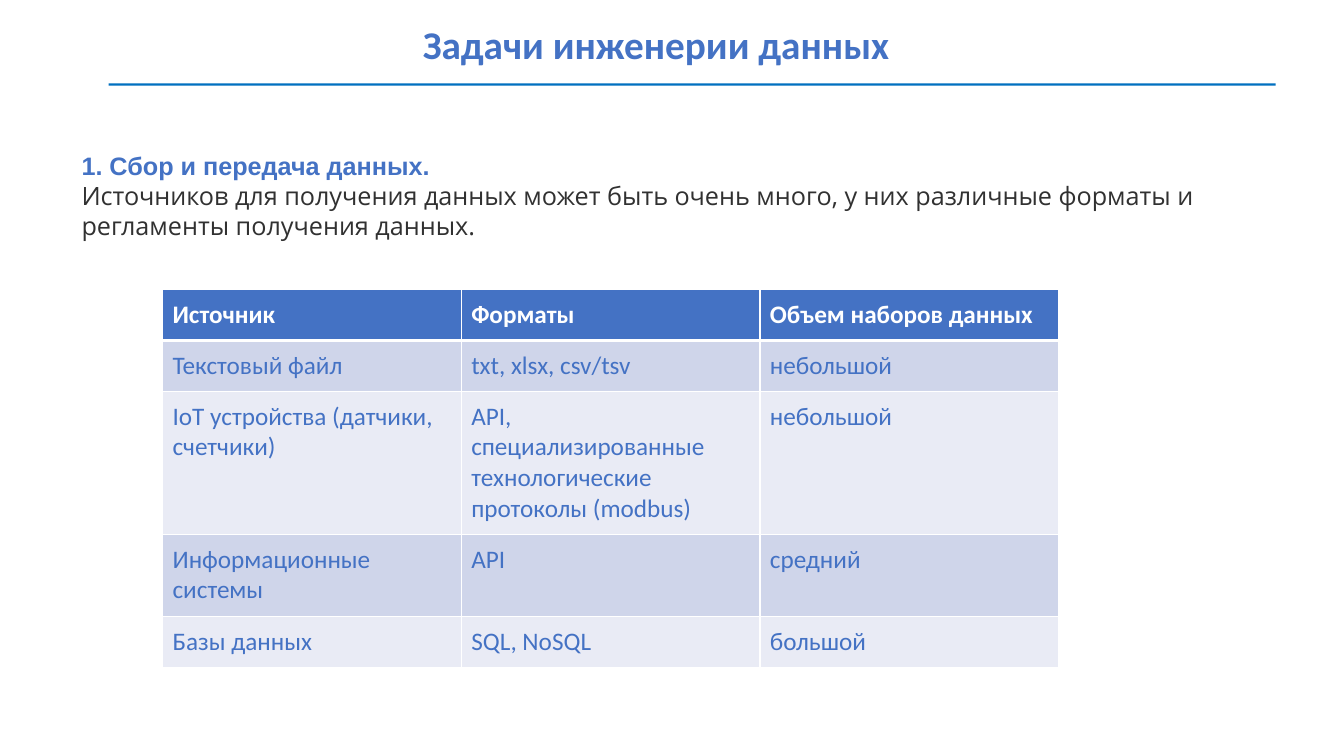
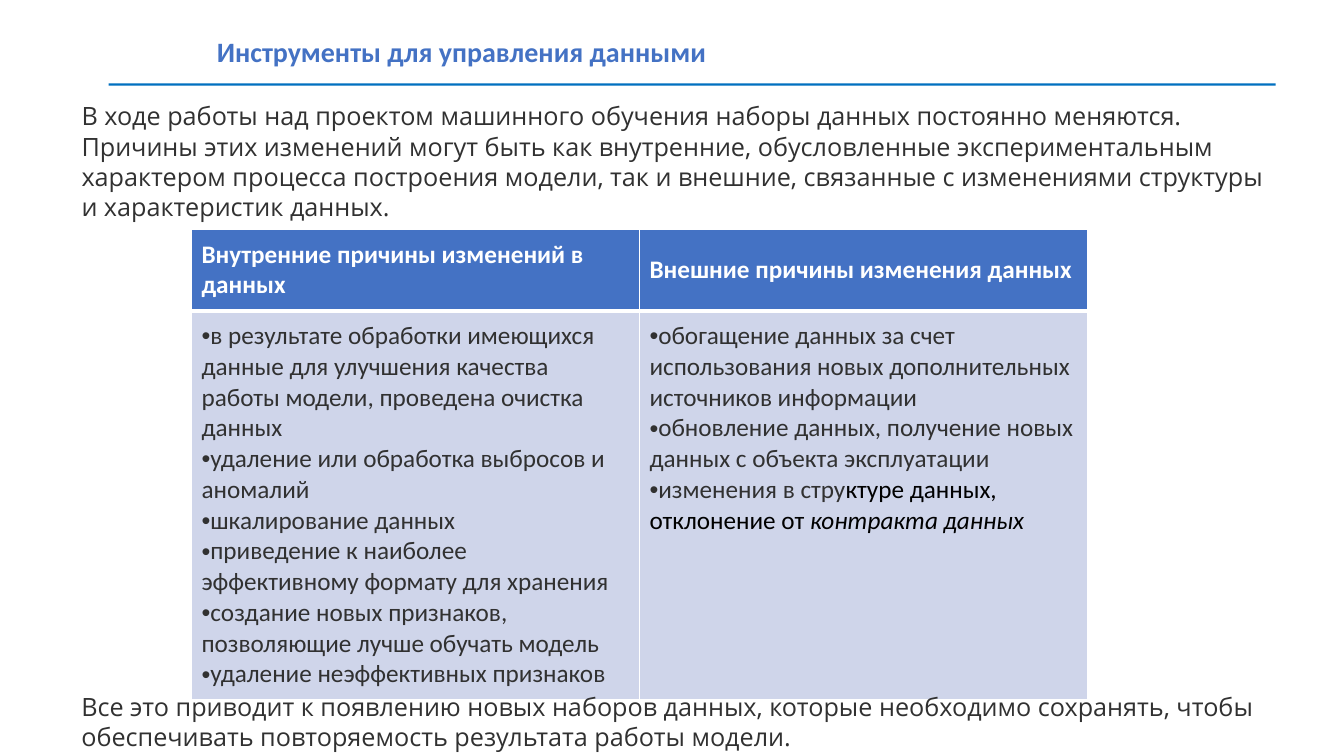
from lxml.etree import SubElement
from pptx import Presentation
from pptx.dml.color import RGBColor
from pptx.enum.shapes import MSO_SHAPE
from pptx.enum.text import MSO_ANCHOR, MSO_AUTO_SIZE, PP_ALIGN
from pptx.oxml.ns import qn
from pptx.util import Cm, Pt

BLUE, RULE, INK, WHITE, BLACK = "4472C4", "0070C0", "313131", "FFFFFF", "000000"
BANDS = ("CFD5EA", "E9EBF5")
HEADING = {"name": "Calibri", "bold": True, "italic": False, "color": BLUE}
PROSE = {"name": "Open Sans", "size": 18, "bold": False, "italic": False, "color": INK}
CELL = {**PROSE, "name": "Calibri"}
HEADER_CELL = {**CELL, "bold": True, "color": WHITE}
NUMBER = ("a:buAutoNum", {"type": "arabicPeriod"})
DOT = ("a:buChar", {"char": "•"})
NO_BULLET = ("a:buNone", {})
INSET = Cm(0.25)

SOURCES = [
    ["Источник", "Форматы", "Объем наборов данных"],
    ["Текстовый файл", "txt, xlsx, csv/tsv", "небольшой"],
    ["IoT устройства (датчики, счетчики)",
     "API, специализированные технологические протоколы (modbus)", "небольшой"],
    ["Информационные системы", "API", "средний"],
    ["Базы данных", "SQL, NoSQL", "большой"],
]
INTERNAL_CAUSES = [
    "в результате обработки имеющихся данные для улучшения качества работы модели, "
    "проведена очистка данных",
    "удаление или обработка выбросов и аномалий",
    "шкалирование данных",
    "приведение к наиболее эффективному формату для хранения",
    "создание новых признаков, позволяющие лучше обучать модель",
    "удаление неэффективных признаков",
]
EXTERNAL_CAUSES = [
    "обогащение данных за счет использования новых дополнительных источников информации",
    "обновление данных, получение новых данных с объекта эксплуатации",
    [("изменения в стру", {}),
     ("ктуре данных, отклонение от ", {"color": BLACK}),
     ("контракта данных", {"color": BLACK, "italic": True})],
]


def color(value):
    """Turn a hex string into a colour."""
    return RGBColor.from_string(value)


def format_font(font, style):
    """Apply a dict of format values to a font."""
    for key, value in style.items():
        if key == "color":
            font.color.rgb = color(value)
        else:
            setattr(font, key, Pt(value) if key == "size" else value)


def set_bullet(para, bullet):
    """Give a paragraph a bullet without a hanging indent."""
    tag, attributes = bullet
    properties = para._p.get_or_add_pPr()
    properties.set("marL", "0")
    properties.set("indent", "0")
    SubElement(properties, qn("a:buFont"), typeface="Arial")
    SubElement(properties, qn(tag), attributes)


def write(frame, paragraphs, style):
    """Fill a text frame with pairs of bullet and text or styled spans."""
    frame.word_wrap = True
    for index, (bullet, content) in enumerate(paragraphs):
        para = frame.add_paragraph() if index else frame.paragraphs[0]
        para.alignment = PP_ALIGN.LEFT
        para.space_before = Pt(0)
        set_bullet(para, bullet)
        spans = [(content, {})] if isinstance(content, str) else content
        for text, changes in spans:
            span = para.add_run()
            span.text = text
            format_font(span.font, {**style, **changes})


def place(box, left, top, width, height):
    """Move a text box to its place and fix its size and anchor."""
    box.left, box.top, box.width, box.height = map(Cm, (left, top, width, height))
    box.text_frame.auto_size = MSO_AUTO_SIZE.NONE
    box.text_frame.vertical_anchor = MSO_ANCHOR.TOP


def add_page(deck, title, title_box, title_size):
    """Add a slide with its title and the rule under it."""
    page = deck.slides.add_slide(deck.slide_layouts[1])
    place(page.shapes.title, *title_box)
    write(page.shapes.title.text_frame, [(NO_BULLET, title)], {**HEADING, "size": title_size})
    rule = page.shapes.add_shape(MSO_SHAPE.RECTANGLE, Cm(2.74), Cm(2.1), Cm(29.41), Cm(0.06))
    rule.shadow.inherit = False
    rule.fill.solid()
    rule.fill.fore_color.rgb = color(RULE)
    rule.line.fill.background()
    return page


def add_lead(page, bounds, paragraphs):
    """Put the opening text into the body placeholder."""
    body = page.placeholders[1]
    place(body, *bounds)
    write(body.text_frame, paragraphs, PROSE)


def set_borders(cell, bottom):
    """Draw white borders round a cell, the bottom one as wide as given."""
    properties = cell._tc.get_or_add_tcPr()
    for side, width in {"L": 1, "R": 1, "T": 1, "B": bottom}.items():
        line = SubElement(properties, qn(f"a:ln{side}"), w=str(Pt(width)))
        fill = SubElement(line, qn("a:solidFill"))
        SubElement(fill, qn("a:srgbClr"), val=WHITE)


def add_grid(page, left, top, width, heights, rows, body_style):
    """Add a table with a blue header and banded rows."""
    count = len(rows[0])
    table = page.shapes.add_table(
        len(rows), count, Cm(left), Cm(top), Cm(width), Cm(sum(heights))).table
    for column in table.columns:
        column.width = Cm(width / count)
    for index, (height, row) in enumerate(zip(heights, rows)):
        table.rows[index].height = Cm(height)
        header = index == 0
        for position, content in enumerate(row):
            cell = table.cell(index, position)
            set_borders(cell, 3 if header else 1)
            cell.fill.solid()
            cell.fill.fore_color.rgb = color(BLUE if header else BANDS[(index - 1) % 2])
            cell.vertical_anchor = MSO_ANCHOR.MIDDLE if header else MSO_ANCHOR.TOP
            for side in ("left", "right", "top", "bottom"):
                setattr(cell, f"margin_{side}", INSET)
            paragraphs = [(NO_BULLET, content)] if isinstance(content, str) else content
            write(cell.text_frame, paragraphs, HEADER_CELL if header else body_style)


def add_tasks_page(deck):
    """Build the slide on collecting data and its sources."""
    page = add_page(deck, "Задачи инженерии данных", (10.4, 0.38, 15.5, 1.45), 28)
    add_lead(page, (1.8, 3.66, 30.33, 2.57), [
        (NUMBER, [(" Сбор и передача данных.", {**HEADING, "name": "Arial"})]),
        (NO_BULLET, "Источников для получения данных может быть очень много, "
                    "у них различные форматы и регламенты получения данных."),
    ])
    add_grid(page, 4.1, 7.3, 22.58, (1.28, 1.28, 3.59, 2.07, 1.28),
             SOURCES, {**CELL, "color": BLUE})


def add_tools_page(deck):
    """Build the slide on why data sets change."""
    page = add_page(deck, "Инструменты для управления данными", (5.21, 0.74, 23.72, 1.12), 20)
    add_lead(page, (1.8, 2.41, 30.53, 3.33), [
        (NO_BULLET, "В ходе работы над проектом машинного обучения наборы данных постоянно "
                    "меняются. Причины этих изменений могут быть как внутренние, обусловленные "
                    "экспериментальным характером процесса построения модели, так и внешние, "
                    "связанные с изменениями структуры и характеристик данных."),
    ])
    causes = [[(DOT, text) for text in texts] for texts in (INTERNAL_CAUSES, EXTERNAL_CAUSES)]
    headers = ["Внутренние причины изменений в данных", "Внешние причины изменения данных"]
    add_grid(page, 4.83, 5.77, 22.58, (2.06, 9.67), [headers, causes], CELL)
    closing = page.shapes.add_textbox(0, 0, 0, 0)
    place(closing, 1.8, 17.3, 30.53, 1.8)
    write(closing.text_frame, [
        (NO_BULLET, "Все это приводит к появлению новых наборов данных, которые необходимо "
                    "сохранять, чтобы обеспечивать повторяемость результата работы модели."),
    ], PROSE)


def main():
    """Build and save the deck."""
    deck = Presentation()
    deck.slide_width, deck.slide_height = Cm(33.87), Cm(19.05)
    add_tasks_page(deck)
    add_tools_page(deck)
    deck.save("out.pptx")


if __name__ == "__main__":
    main()
